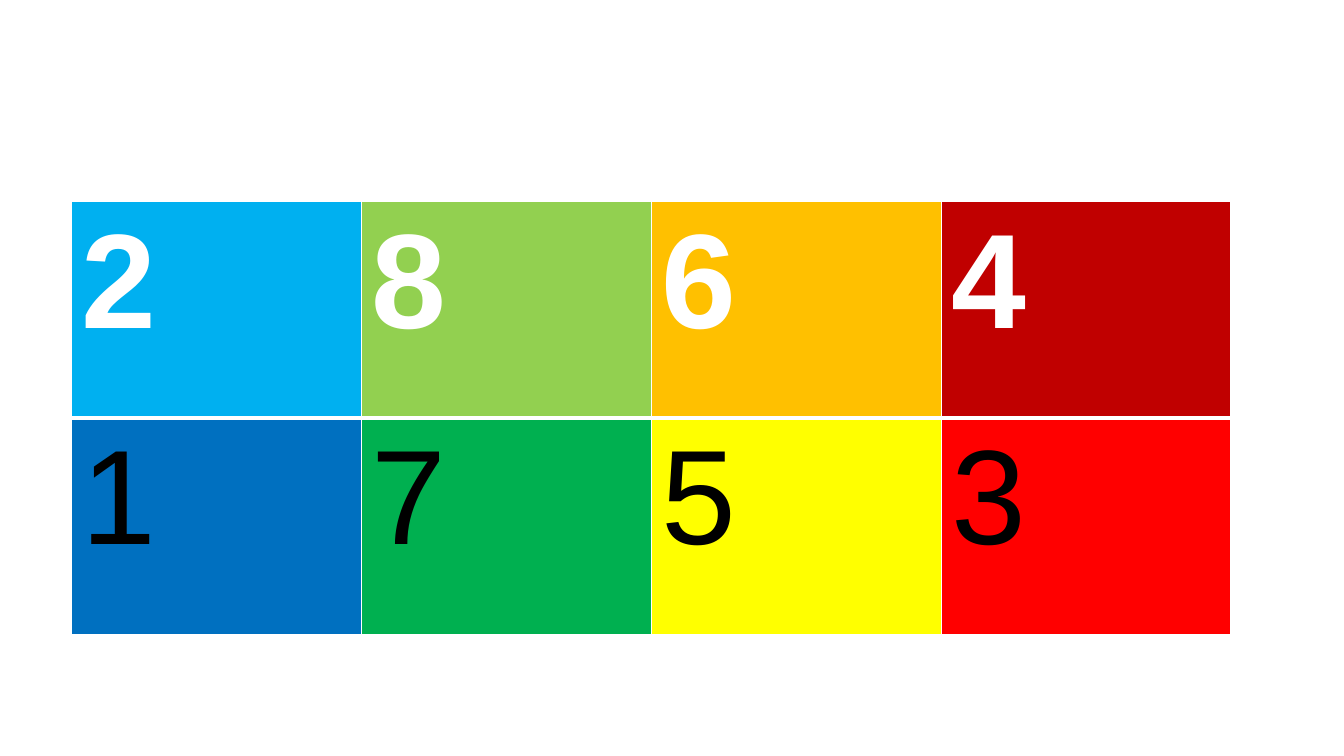
from dataclasses import dataclass

from lxml.etree import SubElement
from pptx import Presentation
from pptx.dml.color import RGBColor
from pptx.oxml.ns import qn
from pptx.util import Inches, Pt


@dataclass(frozen=True)
class Theme:
    """Colours, type and line widths of the number grid."""
    font: str = "Arial"
    number_size: int = 96
    light: str = "FFFFFF"
    dark: str = "000000"
    thin: int = 1
    thick: int = 3


THEME = Theme()
NUMBER_ROWS = [
    [("2", "00B0F0"), ("8", "92D050"), ("6", "FFC000"), ("4", "C00000")],
    [("1", "0070C0"), ("7", "00B050"), ("5", "FFFF00"), ("3", "FF0000")],
]


def set_border(cell, side, points):
    """Draw one solid edge of a cell."""
    edge = SubElement(cell._tc.get_or_add_tcPr(), qn(f"a:ln{side}"), w=str(Pt(points)))
    solid = SubElement(edge, qn("a:solidFill"))
    SubElement(solid, qn("a:srgbClr"), val=THEME.light)


def style_cell(cell, number, background, upper):
    """Write a number and set its cell's colours and edges."""
    divider = "B" if upper else "T"
    for side in "LRTB":
        set_border(cell, side, THEME.thick if side == divider else THEME.thin)
    cell.fill.solid()
    cell.fill.fore_color.rgb = RGBColor.from_string(background)
    cell.text_frame.text = number
    font = cell.text_frame.paragraphs[0].runs[0].font
    font.name = THEME.font
    font.size = Pt(THEME.number_size)
    font.bold = upper
    font.color.rgb = RGBColor.from_string(THEME.light if upper else THEME.dark)


def add_number_grid(slide, number_rows, left, top, width, height):
    """Add a table of numbers with equal columns and rows."""
    grid = slide.shapes.add_table(
        len(number_rows), len(number_rows[0]), left, top, width, height
    ).table
    for row_index, numbers in enumerate(number_rows):
        for column_index, (number, background) in enumerate(numbers):
            cell = grid.cell(row_index, column_index)
            style_cell(cell, number, background, upper=row_index == 0)


def main():
    """Build the slide and save it."""
    presentation = Presentation()
    presentation.slide_width = Inches(13.33)
    presentation.slide_height = Inches(7.5)
    slide = presentation.slides.add_slide(presentation.slide_layouts[6])
    add_number_grid(slide, NUMBER_ROWS, Inches(0.71), Inches(2), Inches(11.5), Inches(4.3))
    presentation.save("out.pptx")


main()
